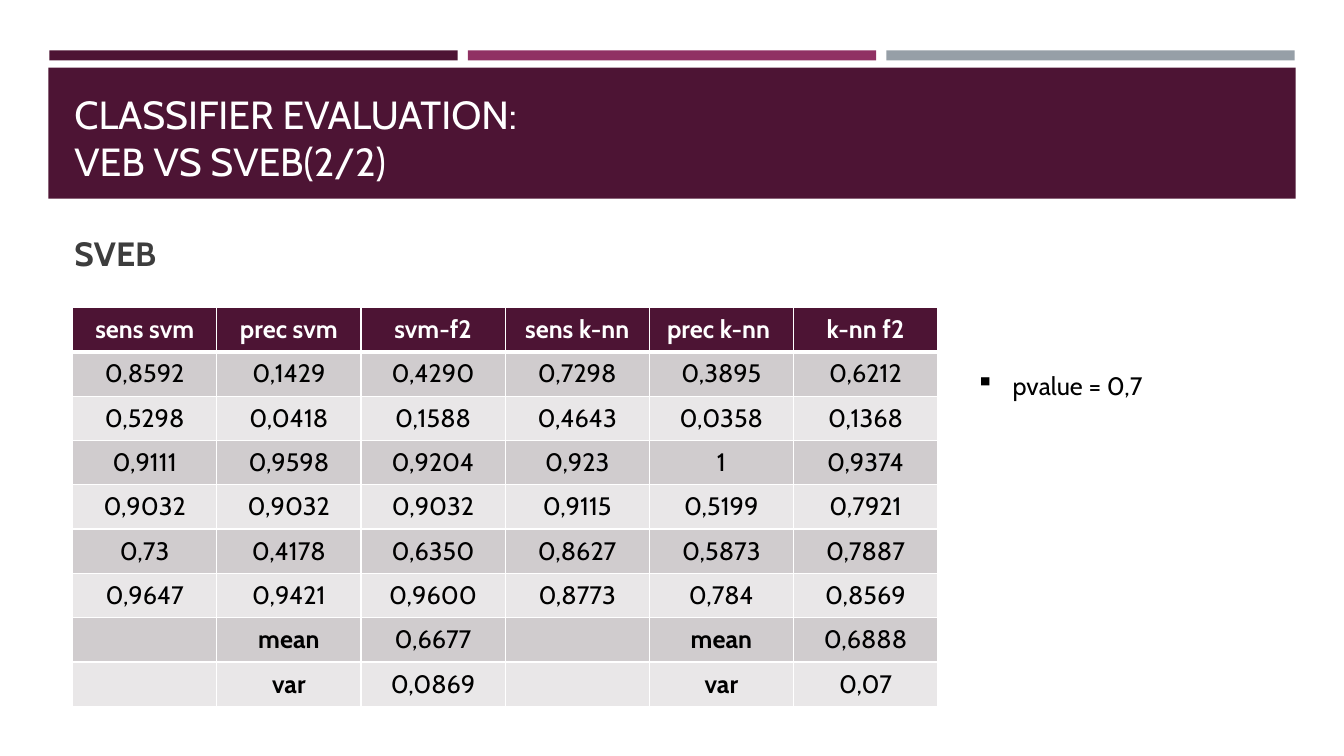
from dataclasses import dataclass

from lxml.etree import SubElement
from pptx import Presentation
from pptx.dml.color import RGBColor
from pptx.enum.shapes import MSO_SHAPE
from pptx.enum.text import MSO_ANCHOR, MSO_AUTO_SIZE, PP_ALIGN
from pptx.oxml import parse_xml
from pptx.oxml.ns import nsdecls, qn
from pptx.slide import Slide
from pptx.table import _Cell
from pptx.text.text import TextFrame, _Paragraph
from pptx.util import Inches, Pt

FONT = "Cabin"
PLUM, MAGENTA, GREY, WHITE = "4D1434", "903163", "969FA7", "FFFFFF"
BLACK, CHARCOAL = "000000", "3D3D3D"
BANDS = ("D0CCCE", "E9E7E8")

HEADERS = ["sens svm", "prec svm", "svm-f2", "sens k-nn", "prec k-nn ", "k-nn f2"]
SCORES = [
    ["0,8592", "0,1429", "0,4290", "0,7298", "0,3895", "0,6212"],
    ["0,5298", "0,0418", "0,1588", "0,4643", "0,0358", "0,1368"],
    ["0,9111", "0,9598", "0,9204", "0,923", "1", "0,9374"],
    ["0,9032", "0,9032", "0,9032", "0,9115", "0,5199", "0,7921"],
    ["0,73", "0,4178", "0,6350", "0,8627", "0,5873", "0,7887"],
    ["0,9647", "0,9421", "0,9600", "0,8773", "0,784", "0,8569"],
    ["", "mean", "0,6677", "", "mean", "0,6888"],
    ["", "var", "0,0869", "", "var", "0,07"],
]


@dataclass
class Box:
    left: float
    top: float
    width: float
    height: float

    def lengths(self) -> list[Inches]:
        return [Inches(v) for v in (self.left, self.top, self.width, self.height)]


@dataclass
class Bar:
    box: Box
    color: str


@dataclass
class Label:
    box: Box
    lines: list[str]
    size: int
    color: str
    bold: bool = False
    anchor: MSO_ANCHOR = MSO_ANCHOR.TOP


BARS = [
    Bar(Box(0.49 + 4.15 * i, 0.5, 4.05, 0.1), color)
    for i, color in enumerate((PLUM, MAGENTA, GREY))
] + [Bar(Box(0.48, 0.67, 12.37, 1.3), PLUM)]

TITLE = Label(Box(0.64, 0.77, 12.06, 1.11), ["CLASSIFIER EVALUATION:", "VEB VS SVEB(2/2)"],
              28, WHITE, anchor=MSO_ANCHOR.BOTTOM)
SUBTITLE = Label(Box(0.64, 2.15, 9.94, 0.72), ["SVEB"], 24, CHARCOAL, True,
                 MSO_ANCHOR.MIDDLE)
PVALUE = Label(Box(9.58, 3.62, 3, 0.4), [" pvalue = 0,7"], 18, BLACK)


def rgb(color: str) -> RGBColor:
    return RGBColor.from_string(color)


def add_run(p: _Paragraph, text: str, size: int, color: str, bold: bool) -> None:
    r = p.add_run()
    r.text = text
    for name, value in {"name": FONT, "size": Pt(size), "bold": bold}.items():
        setattr(r.font, name, value)
    r.font.color.rgb = rgb(color)


def add_bar(s: Slide, bar: Bar) -> None:
    sp = s.shapes.add_shape(MSO_SHAPE.RECTANGLE, *bar.box.lengths())
    sp.shadow.inherit = False
    sp.fill.solid()
    sp.fill.fore_color.rgb = rgb(bar.color)
    sp.line.fill.background()


def add_label(s: Slide, label: Label) -> TextFrame:
    tf = s.shapes.add_textbox(*label.box.lengths()).text_frame
    tf.word_wrap = True
    tf.vertical_anchor = label.anchor
    p = tf.paragraphs[0]
    for i, line in enumerate(label.lines):
        if i:
            p.add_line_break()
        add_run(p, line, label.size, label.color, label.bold)
    return tf


def add_bullet(p: _Paragraph, char: str, indent: float) -> None:
    pPr = p._p.get_or_add_pPr()
    pPr.set("marL", str(Inches(indent)))
    pPr.set("indent", str(-Inches(indent)))
    SubElement(pPr, qn("a:buChar")).set("char", char)


def set_borders(cell: _Cell, widths: dict[str, int]) -> None:
    """Draw white borders; widths are points by side: L, R, T, B."""
    tcPr = cell._tc.get_or_add_tcPr()
    for i, (side, width) in enumerate(widths.items()):
        tcPr.insert(i, parse_xml(
            f'<a:ln{side} {nsdecls("a")} w="{Pt(width)}"><a:solidFill>'
            f'<a:srgbClr val="{WHITE}"/></a:solidFill></a:ln{side}>'))


def fill_cell(cell: _Cell, text: str, row: int) -> None:
    header = row == 0
    layout = {"margin_left": Inches(0.03), "margin_right": Inches(0.03),
              "margin_top": Inches(0.02), "margin_bottom": Inches(0.02),
              "vertical_anchor": MSO_ANCHOR.MIDDLE}
    for name, value in layout.items():
        setattr(cell, name, value)
    cell.fill.solid()
    cell.fill.fore_color.rgb = rgb(PLUM if header else BANDS[(row - 1) % 2])
    set_borders(cell, {"L": 1, "R": 1, "T": 3 if row == 1 else 1, "B": 3 if header else 1})
    p = cell.text_frame.paragraphs[0]
    p.alignment = PP_ALIGN.CENTER
    if text:
        add_run(p, text, 18, WHITE if header else BLACK, header or text in ("mean", "var"))


def add_score_table(s: Slide, box: Box) -> None:
    rows = [HEADERS] + SCORES
    table = s.shapes.add_table(len(rows), len(HEADERS), *box.lengths()).table
    for i, texts in enumerate(rows):
        for j, text in enumerate(texts):
            fill_cell(table.cell(i, j), text, i)


def main() -> None:
    prs = Presentation()
    prs.slide_width, prs.slide_height = Inches(13.33), Inches(7.5)
    s = prs.slides.add_slide(prs.slide_layouts[6])
    for bar in BARS:
        add_bar(s, bar)
    add_label(s, TITLE)
    add_label(s, SUBTITLE)
    add_score_table(s, Box(0.72, 3.05, 8.58, 3.96))
    tf = add_label(s, PVALUE)
    tf.auto_size = MSO_AUTO_SIZE.SHAPE_TO_FIT_TEXT
    add_bullet(tf.paragraphs[0], "▪", 0.31)
    prs.save("out.pptx")


if __name__ == "__main__":
    main()
